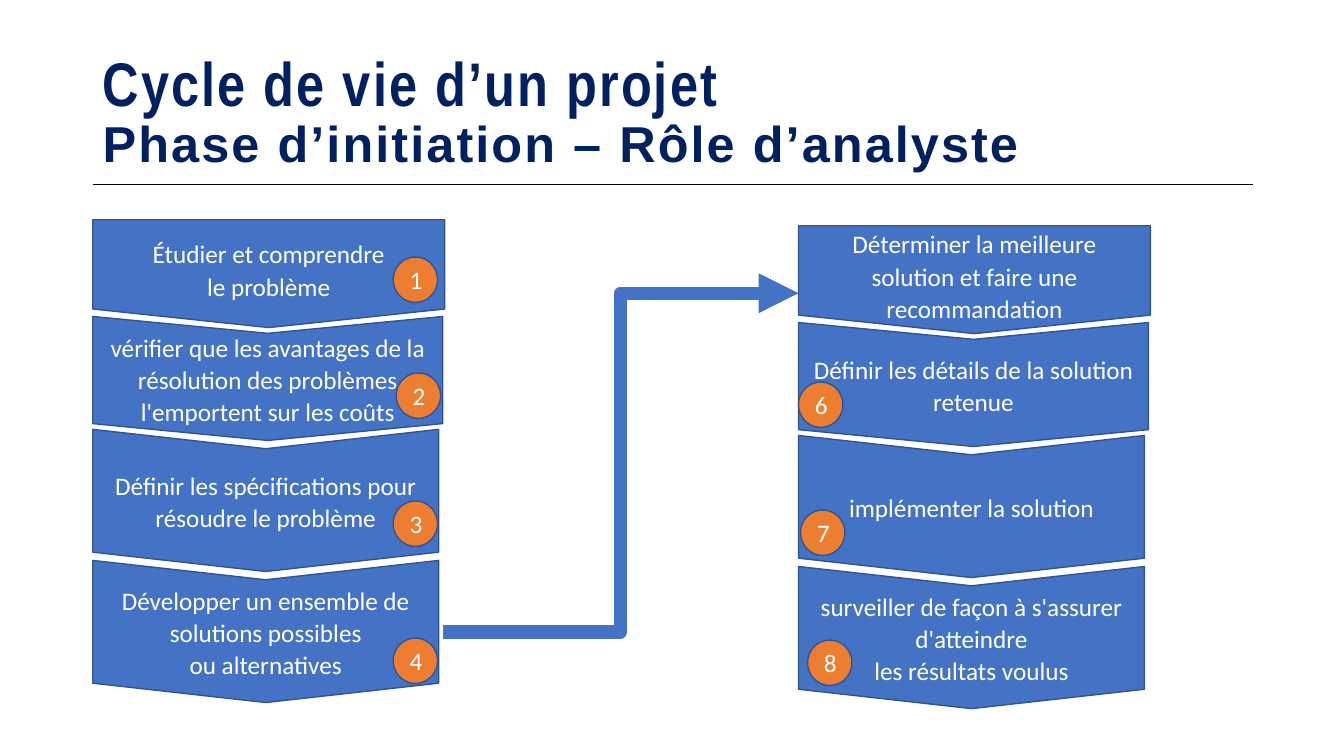
from lxml import etree
from pptx import Presentation
from pptx.dml.color import RGBColor
from pptx.enum.shapes import MSO_CONNECTOR, MSO_SHAPE
from pptx.enum.text import MSO_ANCHOR, PP_ALIGN
from pptx.oxml.ns import qn
from pptx.util import Inches, Pt

PENTAGON, CHEVRON, OVAL = MSO_SHAPE.PENTAGON, MSO_SHAPE.CHEVRON, MSO_SHAPE.OVAL
STRAIGHT, ELBOW = MSO_CONNECTOR.STRAIGHT, MSO_CONNECTOR.ELBOW
MIDDLE, CENTER = MSO_ANCHOR.MIDDLE, PP_ALIGN.CENTER

BLUE, OUTLINE, ORANGE, NAVY = "4472C4", "325491", "ED7D31", "002060"
BADGE_WIDTH, BADGE_HEIGHT = 0.44, 0.45

STEP_FORMS = [
    (PENTAGON, 0, 3.49, 1.07, 0.172),
    (CHEVRON, 0.96, 3.47, 1.23, 0.136),
    (CHEVRON, 2.08, 3.43, 1.41, 0.136),
    (CHEVRON, 3.38, 3.43, 1.41, 0.136),
]
ANALYSIS_STEPS = [
    ["Étudier et comprendre", "le problème"],
    ["vérifier que les avantages de la résolution des problèmes l'emportent sur les coûts"],
    ["Définir les spécifications pour résoudre le problème"],
    ["Développer un ensemble de solutions possibles", "ou alternatives"],
]
SOLUTION_STEPS = [
    ["Déterminer la meilleure solution et faire une recommandation"],
    ["Définir les détails de la solution retenue"],
    ["implémenter la solution"],
    ["surveiller de façon à s'assurer d'atteindre", "les résultats voulus"],
]
ANALYSIS_BADGES = [("1", 2.98, 0.37), ("2", 3.01, 1.52), ("3", 2.98, 2.79), ("4", 2.98, 4.15)]
SOLUTION_BADGES = [("6", 0, 1.55), ("7", 0.02, 2.82), ("8", 0.09, 4.11)]


def color(hex_string):
    """Return the colour for a hex string."""
    return RGBColor.from_string(hex_string)


def add_run(paragraph, text, size, font_name, hex_string, bold=False):
    """Add one formatted run to a paragraph."""
    run = paragraph.add_run()
    run.text = text
    run.font.size = Pt(size)
    run.font.name = font_name
    run.font.bold = bold
    run.font.color.rgb = color(hex_string)
    return run


def add_filled(slide, form, left, top, width, height, fill, lines, spacing):
    """Add an outlined shape with centred white text."""
    shape = slide.shapes.add_shape(
        form, Inches(left), Inches(top), Inches(width), Inches(height))
    shape.shadow.inherit = False
    shape.fill.solid()
    shape.fill.fore_color.rgb = color(fill)
    shape.line.color.rgb = color(OUTLINE)
    shape.line.width = Pt(1)
    frame = shape.text_frame
    frame.word_wrap = True
    frame.vertical_anchor = MIDDLE
    for index, line in enumerate(lines):
        paragraph = frame.add_paragraph() if index else frame.paragraphs[0]
        paragraph.alignment = CENTER
        paragraph.line_spacing = spacing
        add_run(paragraph, line, 18, "Calibri", "FFFFFF")
    return shape


def add_line(slide, kind, start, end, hex_string, width):
    """Add a connector without a shadow."""
    connector = slide.shapes.add_connector(kind, *map(Inches, start + end))
    connector.line.color.rgb = color(hex_string)
    connector.line.width = Pt(width)
    etree.SubElement(connector._element.spPr, qn("a:effectLst"))
    return connector


def add_title(slide, left, top, width, height):
    """Place the two-line title and the rule under it."""
    title = slide.shapes.add_textbox(
        Inches(left), Inches(top), Inches(width), Inches(height))
    frame = title.text_frame
    frame.word_wrap = True
    frame.vertical_anchor = MIDDLE
    paragraph = frame.paragraphs[0]
    paragraph.line_spacing = 0.9
    topic = add_run(paragraph, "Cycle de vie d’un projet", 44, "Arial Narrow", NAVY, True)
    paragraph.add_line_break()
    phase = add_run(paragraph, "Phase d’initiation – Rôle d’analyste", 36, "Arial", NAVY, True)
    for run in (topic, phase):
        run._r.get_or_add_rPr().set("spc", "150")
    rule_y = top + height - 0.02
    add_line(slide, STRAIGHT, (left, rule_y), (left + width + 0.01, rule_y), "000000", 0.5)


def add_step_column(slide, left, top, steps):
    """Stack four downward steps from the given corner."""
    for (form, drop, width, height, point), lines in zip(STEP_FORMS, steps):
        turned_left = left + (width - height) / 2
        turned_top = top + drop + (height - width) / 2
        step = add_filled(
            slide, form, turned_left, turned_top, height, width, BLUE, lines, 1.07)
        step.rotation = 90
        step.adjustments[0] = point
        step.text_frame._txBody.bodyPr.set("vert", "vert270")


def add_badges(slide, left, top, badges):
    """Place numbered circles relative to a column's corner."""
    for number, across, down in badges:
        add_filled(slide, OVAL, left + across, top + down,
                   BADGE_WIDTH, BADGE_HEIGHT, ORANGE, [number], 1)


def add_flow_arrow(slide, start, end):
    """Draw the thick bent arrow between the columns."""
    arrow = add_line(slide, ELBOW, start, end, BLUE, 9.5)
    etree.SubElement(arrow.line._get_or_add_ln(), qn("a:tailEnd"), type="triangle")


def main():
    """Build and save the slide."""
    deck = Presentation()
    deck.slide_width, deck.slide_height = Inches(13.33), Inches(7.5)
    slide = deck.slides.add_slide(deck.slide_layouts[6])
    analysis, solution = (0.92, 2.18), (7.92, 2.24)
    add_title(slide, 0.92, 0.4, 11.5, 1.45)
    add_flow_arrow(slide, (4.39, 6.27), (7.92, 2.91))
    add_step_column(slide, *analysis, ANALYSIS_STEPS)
    add_step_column(slide, *solution, SOLUTION_STEPS)
    add_badges(slide, *analysis, ANALYSIS_BADGES)
    add_badges(slide, *solution, SOLUTION_BADGES)
    deck.save("out.pptx")


if __name__ == "__main__":
    main()
